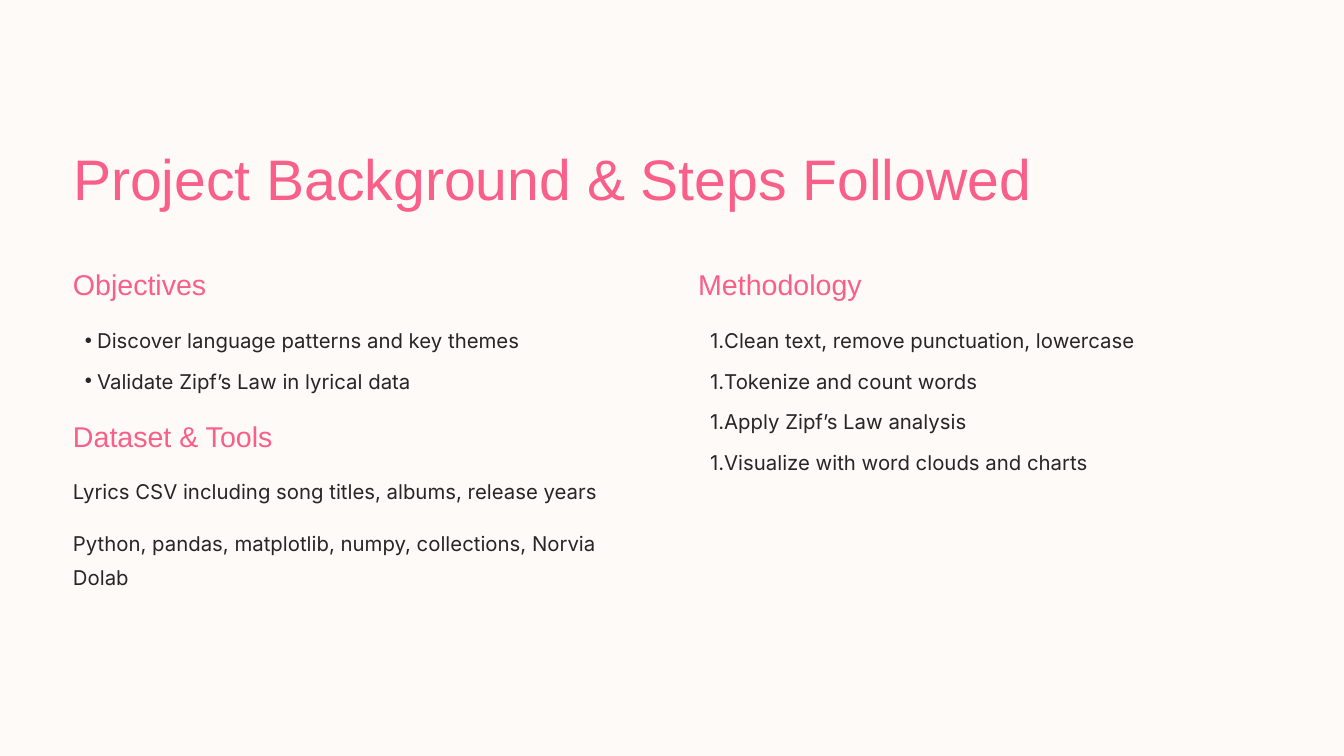
from collections import namedtuple
from dataclasses import dataclass

from lxml.etree import SubElement
from pptx import Presentation
from pptx.dml.color import RGBColor
from pptx.enum.shapes import MSO_SHAPE
from pptx.enum.text import MSO_ANCHOR, MSO_AUTO_SIZE, PP_ALIGN
from pptx.oxml.ns import qn
from pptx.util import Cm, Pt

Box = namedtuple("Box", "left top width height")
TextStyle = namedtuple("TextStyle", "font size color leading")


@dataclass(frozen=True)
class Theme:
    backdrops: tuple = ("FAF2E9", "FDFAF7")
    title: TextStyle = TextStyle("Arial", 61.2, "F95F88", 76.2)
    heading: TextStyle = TextStyle("Arial", 30.6, "F95F88", 38.1)
    body: TextStyle = TextStyle("Inter", 21.8, "272525", 35.5)


THEME = Theme()
PAGE = Box(0, 0, 50.8, 28.58)
BULLET = ("a:buChar", {"char": "•"})
NUMBER = ("a:buAutoNum", {"type": "arabicPeriod"})
HEADING_WIDTH, HEADING_HEIGHT = 10.82, 1.4
BODY_OFFSET, LINE_HEIGHT, WRAPPED_HEIGHT = 2.01, 1.45, 2.69
LIST_STEP, PARAGRAPH_STEP = 1.54, 1.98


def apply_format(target, values):
    for name, value in values.items():
        setattr(target, name, value)


def place(shape, box):
    apply_format(shape, {name: Cm(value) for name, value in box._asdict().items()})


def write(shape, text, style):
    frame = shape.text_frame
    apply_format(frame, {
        "margin_left": 0, "margin_top": 0, "margin_right": 0, "margin_bottom": 0,
        "word_wrap": True, "auto_size": MSO_AUTO_SIZE.NONE,
        "vertical_anchor": MSO_ANCHOR.TOP,
    })
    para = frame.paragraphs[0]
    apply_format(para, {
        "alignment": PP_ALIGN.LEFT, "line_spacing": Pt(style.leading),
        "space_before": Pt(0),
    })
    span = para.add_run()
    span.text = text
    apply_format(span.font, {"name": style.font, "size": Pt(style.size)})
    span.font.color.rgb = RGBColor.from_string(style.color)
    return para


def mark_item(para, marker):
    para.level = 1
    tag, attributes = marker
    properties = para._p.get_or_add_pPr()
    properties.set("marL", str(Cm(0.91)))
    properties.set("indent", str(Cm(-0.46)))
    if marker is BULLET:
        SubElement(properties, qn("a:buFont"), {"typeface": "Arial"})
    SubElement(properties, qn(tag), attributes)


def add_text(page, box, text, style):
    shape = page.shapes.add_textbox(0, 0, 0, 0)
    place(shape, box)
    return write(shape, text, style)


def add_backdrop(page, box, color):
    shape = page.shapes.add_shape(MSO_SHAPE.RECTANGLE, 0, 0, 0, 0)
    place(shape, box)
    shape.shadow.inherit = False
    shape.fill.solid()
    shape.fill.fore_color.rgb = RGBColor.from_string(color)
    shape.line.fill.background()
    page.shapes.title.element.addprevious(shape.element)


def add_title(page, box, text):
    place(page.shapes.title, box)
    write(page.shapes.title, text, THEME.title)


def add_section(page, box, heading, lines, step, marker=None, last_height=LINE_HEIGHT):
    heading_box = box._replace(width=HEADING_WIDTH, height=HEADING_HEIGHT)
    add_text(page, heading_box, heading, THEME.heading)
    for index, line in enumerate(lines):
        top = box.top + BODY_OFFSET + index * step
        height = last_height if line == lines[-1] else LINE_HEIGHT
        para = add_text(page, box._replace(top=top, height=height), line, THEME.body)
        if marker:
            mark_item(para, marker)


def main():
    deck = Presentation()
    apply_format(deck, {"slide_width": Cm(PAGE.width), "slide_height": Cm(PAGE.height)})
    page = deck.slides.add_slide(deck.slide_layouts.get_by_name("Title Only"))
    for color in THEME.backdrops:
        add_backdrop(page, PAGE, color)

    add_title(page, Box(2.76, 5.33, 36.91, 2.79), "Project Background & Steps Followed")
    add_section(page, Box(2.76, 10.06, 21.69, 5.0), "Objectives", [
        "Discover language patterns and key themes",
        "Validate Zipf’s Law in lyrical data",
    ], LIST_STEP, BULLET)
    add_section(page, Box(2.76, 15.78, 21.69, 6.68), "Dataset & Tools", [
        "Lyrics CSV including song titles, albums, release years",
        "Python, pandas, matplotlib, numpy, collections, Norvia Dolab",
    ], PARAGRAPH_STEP, last_height=WRAPPED_HEIGHT)
    add_section(page, Box(26.39, 10.06, 21.69, 8.08), "Methodology", [
        "Clean text, remove punctuation, lowercase",
        "Tokenize and count words",
        "Apply Zipf’s Law analysis",
        "Visualize with word clouds and charts",
    ], LIST_STEP, NUMBER)
    deck.save("out.pptx")


if __name__ == "__main__":
    main()
